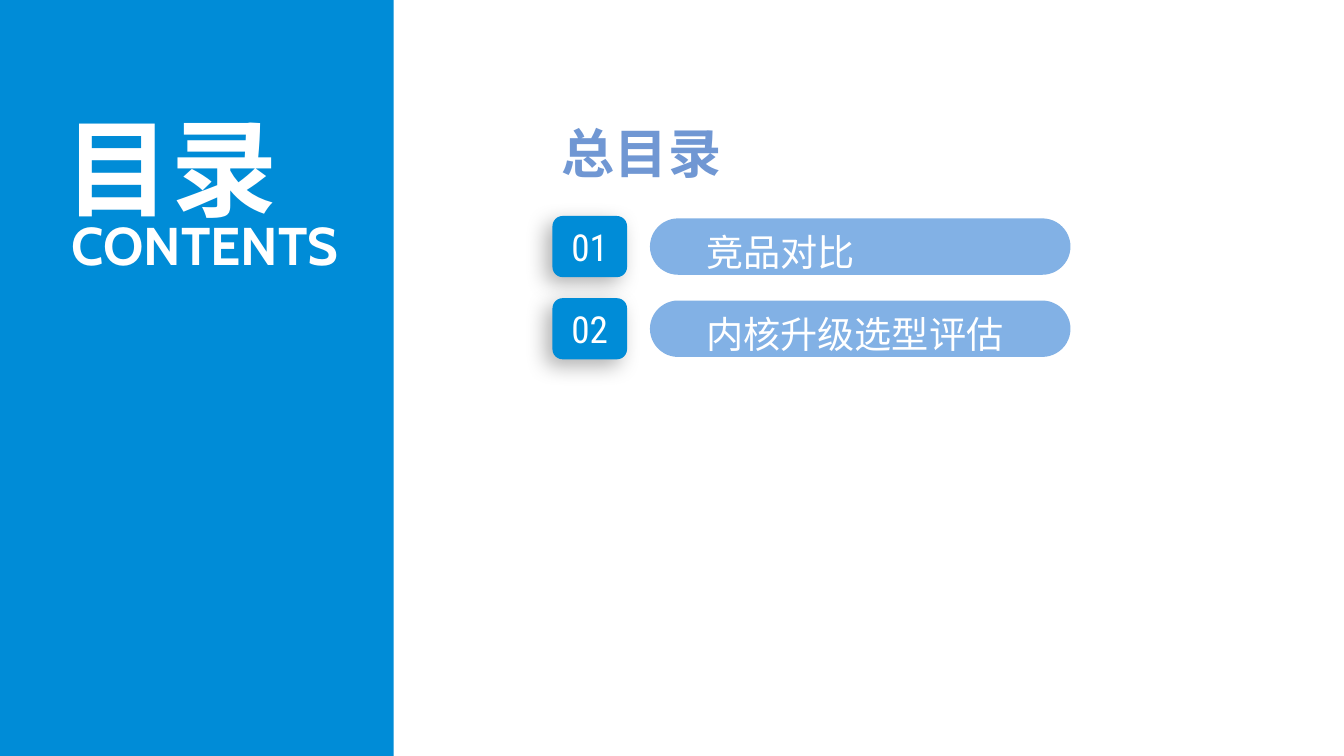
from lxml.etree import SubElement
from pptx import Presentation
from pptx.dml.color import RGBColor
from pptx.enum.shapes import MSO_SHAPE
from pptx.enum.text import MSO_ANCHOR, MSO_AUTO_SIZE, PP_ALIGN
from pptx.oxml.ns import qn
from pptx.util import Inches, Pt

SECTIONS = [("01", "竞品对比", 12.52), ("02", "内核升级选型评估", 23.54)]
BLUE, PALE, HEADING, WHITE = "008CD7", "82B1E5", "7097D3", "FFFFFF"
HAN, LATIN, DIGITS = "Noto Sans CJK SC", "Cabin", "Roboto Condensed"
TITLES = [
    ("目录", (4.13, 9.48, 18.71, 19.97), dict(name=HAN, size=Pt(80), bold=True), WHITE),
    ("CONTENTS", (4.62, 25.79, 21.62, 10.62), dict(name=LATIN, size=Pt(40), bold=True), WHITE),
    ("总目录", (41.11, 13.65, 38.55, 11.5), dict(name=HAN, size=Pt(40), bold=True), HEADING),
]
PANEL = (0, 0, 29.3, 100)
ROW_TOP, ROW_PITCH = 28.57, 10.87
BADGE_X, BADGE_W, BADGE_H = 41.11, 5.55, 8.09
PILL_X, PILL_W, PILL_H = 48.36, 31.29, 7.46
LABEL_X, LABEL_H = 51.85, 8.34

prs = Presentation()
prs.slide_width, prs.slide_height = Inches(14.06), Inches(7.91)
s = prs.slides.add_slide(prs.slide_layouts[6])


def rgb(value):
    return RGBColor.from_string(value)


def place(box):
    sides = (prs.slide_width, prs.slide_height) * 2
    return [int(side * share / 100) for side, share in zip(sides, box)]


def write(tf, text, fmt, color):
    p = tf.paragraphs[0]
    r = p.add_run()
    r.text = text
    for key, value in fmt.items():
        setattr(r.font, key, value)
    r.font.color.rgb = rgb(color)
    SubElement(r.font._element, qn("a:ea"), typeface=fmt["name"])
    return p


def add_text(text, box, fmt, color, wrap=True):
    tf = s.shapes.add_textbox(*place(box)).text_frame
    tf.word_wrap = wrap
    tf.auto_size = MSO_AUTO_SIZE.SHAPE_TO_FIT_TEXT
    write(tf, text, fmt, color).line_spacing = 1.2


def add_block(kind, box, color):
    sp = s.shapes.add_shape(kind, *place(box))
    sp.shadow.inherit = False
    sp.fill.solid()
    sp.fill.fore_color.rgb = rgb(color)
    sp.line.fill.background()
    return sp


def add_shadow(sp):
    effects = sp._element.spPr.find(qn("a:effectLst"))
    shadow = SubElement(effects, qn("a:outerShdw"), blurRad=str(Pt(16)), dist=str(Pt(7)),
                        dir=str(135 * 60000), algn="tr", rotWithShape="0")
    color = SubElement(shadow, qn("a:srgbClr"), val="000000")
    SubElement(color, qn("a:alpha"), val="30000")


add_block(MSO_SHAPE.RECTANGLE, PANEL, BLUE)
for text, box, fmt, color in TITLES:
    add_text(text, box, fmt, color)

for i, (number, label, label_w) in enumerate(SECTIONS):
    top = ROW_TOP + i * ROW_PITCH
    pill_top = top + (BADGE_H - PILL_H) / 2
    pill = add_block(MSO_SHAPE.ROUNDED_RECTANGLE, (PILL_X, pill_top, PILL_W, PILL_H), PALE)
    pill.adjustments[0] = 0.5
    badge = add_block(MSO_SHAPE.ROUNDED_RECTANGLE, (BADGE_X, top, BADGE_W, BADGE_H), BLUE)
    add_shadow(badge)
    badge.text_frame.vertical_anchor = MSO_ANCHOR.MIDDLE
    p = write(badge.text_frame, number, dict(name=DIGITS, size=Pt(28)), WHITE)
    p.alignment = PP_ALIGN.CENTER
    add_text(label, (LABEL_X, top, label_w, LABEL_H), dict(name=HAN, size=Pt(28)), WHITE, wrap=False)

prs.save("out.pptx")
